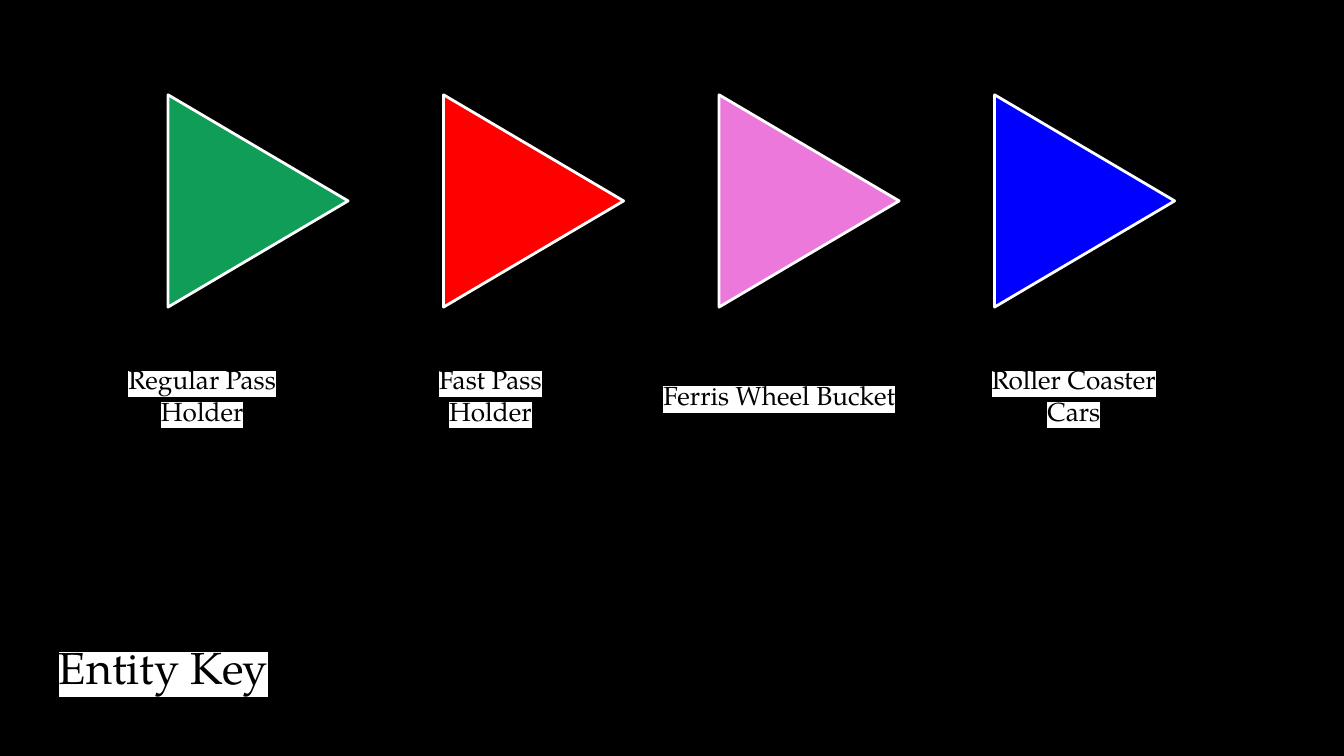
from lxml import etree
from pptx import Presentation
from pptx.dml.color import RGBColor
from pptx.enum.shapes import MSO_SHAPE
from pptx.enum.text import MSO_ANCHOR, PP_ALIGN
from pptx.oxml.ns import qn
from pptx.util import Emu, Pt

TRIANGLE = MSO_SHAPE.ISOSCELES_TRIANGLE
MIDDLE = MSO_ANCHOR.MIDDLE
LEFT, CENTER = PP_ALIGN.LEFT, PP_ALIGN.CENTER

EMU_PER_PX = 4572  # 200 px to the inch
FONT = "TeX Gyre Pagella"
COLORS = {
    "black": "000000",
    "white": "FFFFFF",
    "green": "0F9D58",
    "red": "FF0000",
    "pink": "EB78DA",
    "blue": "0000FF",
}
# Label, triangle colour, label left, label width
ENTITIES = [
    ("Regular Pass Holder", "green", 106, 390),
    ("Fast Pass Holder", "red", 580, 300),
    ("Ferris Wheel Bucket", "pink", 964, 392),
    ("Roller Coaster Cars", "blue", 1438, 320),
]
FIRST_TRIANGLE_LEFT, TRIANGLE_PITCH = 226, 410
TRIANGLE_TOP, TRIANGLE_WIDTH, TRIANGLE_HEIGHT = 165, 316, 268
LABEL_TOP, LABEL_HEIGHT = 522, 132


def px(length):
    return Emu(length * EMU_PER_PX)


def color(name):
    return RGBColor.from_string(COLORS[name])


def highlight(run, name):
    """Put a marker colour behind the run, right after its text fill."""
    mark = etree.Element(qn("a:highlight"))
    etree.SubElement(mark, qn("a:srgbClr"), val=COLORS[name])
    run._r.get_or_add_rPr().find(qn("a:solidFill")).addnext(mark)


def add_text(slide, text, left, top, width, height, size, alignment):
    box = slide.shapes.add_textbox(px(left), px(top), px(width), px(height))
    frame = box.text_frame
    frame.text = text
    frame.word_wrap = True
    frame.vertical_anchor = MIDDLE
    frame.margin_left = frame.margin_right = px(20)
    frame.margin_top = frame.margin_bottom = px(20)
    paragraph = frame.paragraphs[0]
    paragraph.alignment = alignment
    paragraph.line_spacing = 1.0
    run = paragraph.runs[0]
    run.font.name = FONT
    run.font.size = Pt(size)
    run.font.color.rgb = color("black")
    highlight(run, "white")


def add_triangle(slide, left, fill):
    """Add a triangle that points to the right."""
    shape = slide.shapes.add_shape(
        TRIANGLE, px(left), px(TRIANGLE_TOP), px(TRIANGLE_WIDTH), px(TRIANGLE_HEIGHT)
    )
    shape.rotation = 90
    shape.shadow.inherit = False
    shape.fill.solid()
    shape.fill.fore_color.rgb = color(fill)
    shape.line.color.rgb = color("white")
    shape.line.width = Pt(1.5)


def main():
    presentation = Presentation()
    presentation.slide_width, presentation.slide_height = px(2000), px(1125)
    slide = presentation.slides.add_slide(presentation.slide_layouts[6])
    slide.background.fill.solid()
    slide.background.fill.fore_color.rgb = color("black")

    add_text(slide, "Entity Key", 68, 926, 1312, 132, 24, LEFT)
    for index, (label, fill, left, width) in enumerate(ENTITIES):
        add_triangle(slide, FIRST_TRIANGLE_LEFT + index * TRIANGLE_PITCH, fill)
        add_text(slide, label, left, LABEL_TOP, width, LABEL_HEIGHT, 14, CENTER)

    presentation.save("out.pptx")


if __name__ == "__main__":
    main()
